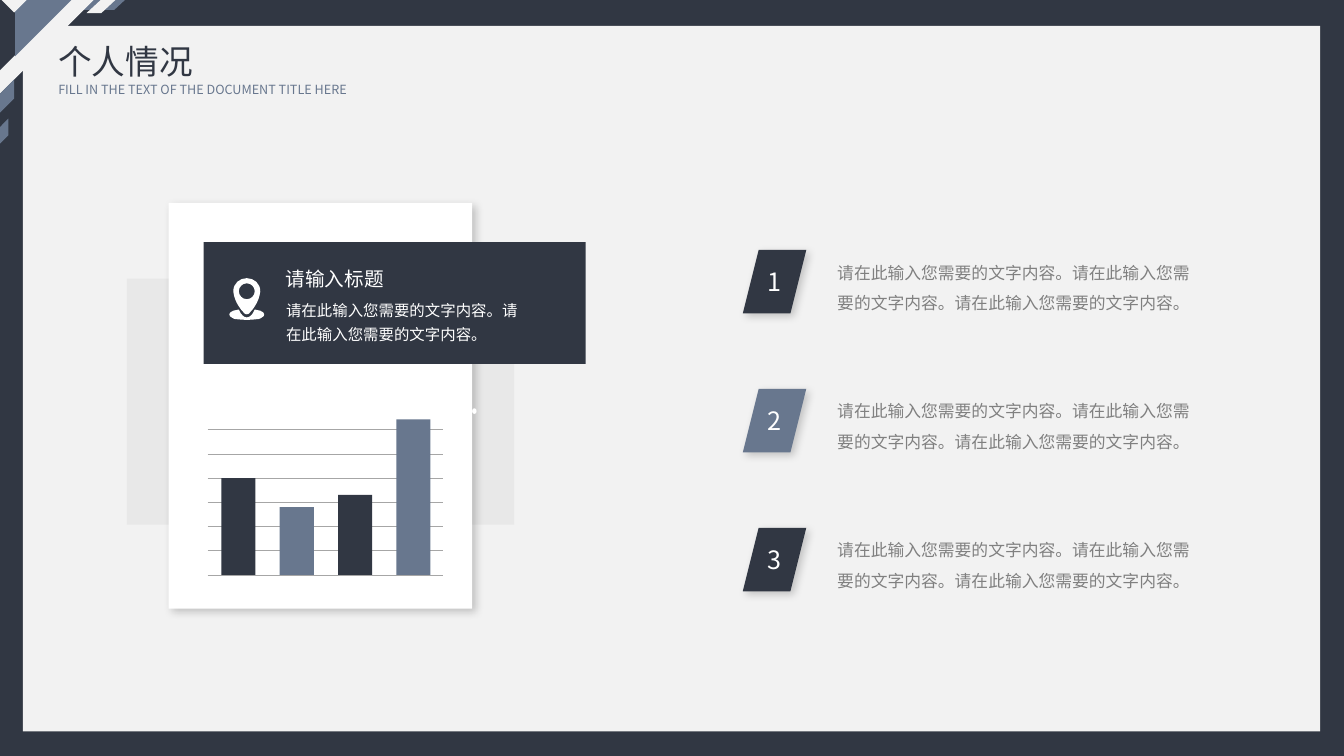
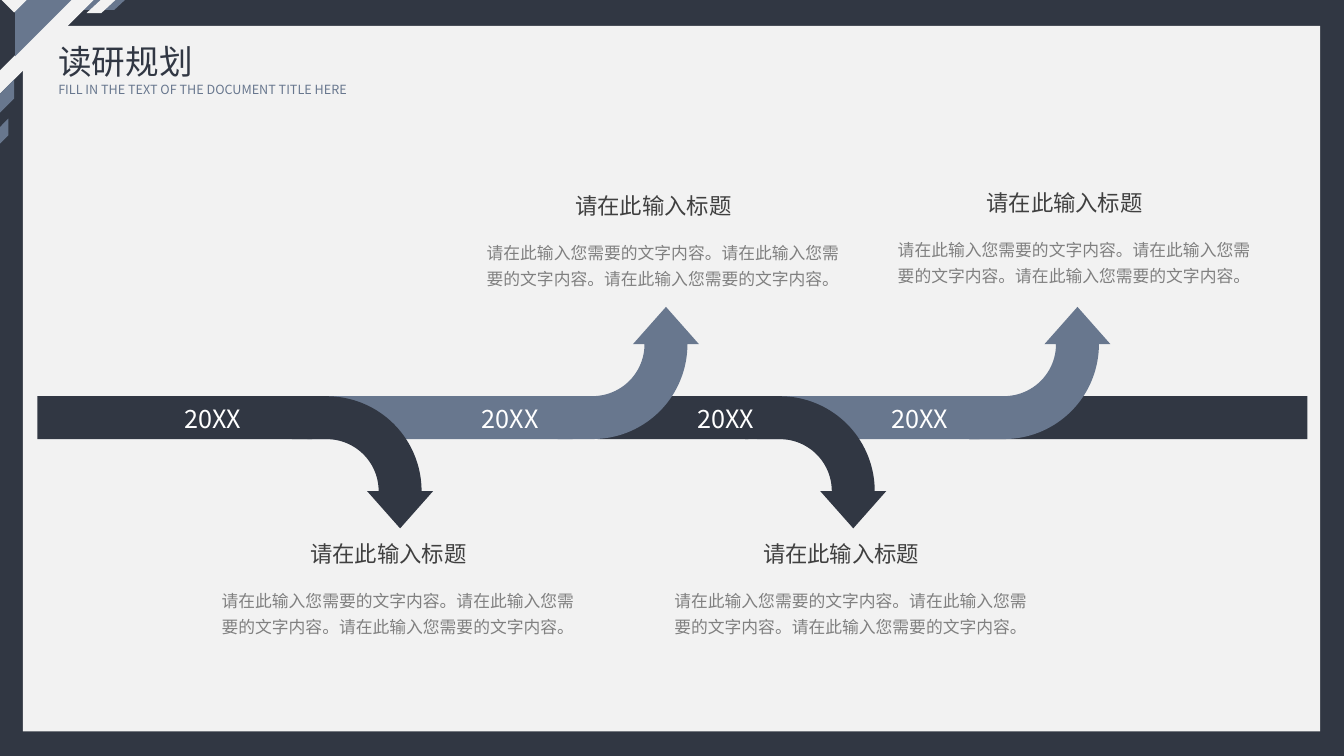
from lxml import etree

from pptx import Presentation
from pptx.dml.color import RGBColor
from pptx.enum.shapes import MSO_CONNECTOR as Connector
from pptx.enum.shapes import MSO_SHAPE as Preset
from pptx.enum.text import MSO_ANCHOR as Anchor
from pptx.enum.text import PP_ALIGN as Align
from pptx.oxml import parse_xml
from pptx.oxml.ns import nsdecls, qn
from pptx.util import Cm, Pt

FONT = "Noto Sans CJK SC"
COLOURS = {
    "navy": "313743",
    "slate": "68778E",
    "paper": "F2F2F2",
    "white": "FFFFFF",
    "shade": "D9D9D9",
    "grid": "A6A6A6",
    "heading": "404040",
    "body": "808080",
}
SENTENCE = "请在此输入您需要的文字内容。"

# Preset, left, top, width, height, rotation, colour, adjustments, flip
CORNER = [
    (Preset.PARALLELOGRAM, 1.5, -0.03, 1.68, 0.28, 180, "slate", [1.08], None),
    (Preset.RIGHT_TRIANGLE, 0, -0.03, 2.39, 2.39, 90, "paper", [], None),
    (Preset.RIGHT_TRIANGLE, 0, -0.03, 1.8, 1.8, 90, "navy", [], None),
    (Preset.RIGHT_TRIANGLE, 0.38, -0.03, 1.45, 1.45, 90, "slate", [], None),
    (Preset.RIGHT_TRIANGLE, 0.1, -0.3, 0.51, 0.51, 315, "paper", [], None),
    (Preset.PARALLELOGRAM, 2.18, -0.03, 0.76, 0.36, 180, "paper", [1.08], None),
    (Preset.PARALLELOGRAM, -0.24, 2.24, 0.84, 0.36, 90, "slate", [1.01], "flipH"),
    (Preset.PARALLELOGRAM, -0.22, 3.2, 0.64, 0.22, 90, "slate", [1.01], "flipH"),
]

# Right halves of the pin icon: a start, then Bézier curves as
# two control points and an end point, in cm from the top of the pin
PIN_HALF = (0, 0), [
    ((0.18, 0), (0.34, 0.13), (0.34, 0.33)),
    ((0.33, 0.46), (0.27, 0.61), (0.2, 0.71)),
    ((0.15, 0.79), (0.13, 0.81), (0.1, 0.84)),
    ((0.05, 0.91), (0.03, 0.91), (0, 0.91)),
]
HOLE_HALF = (0, 0.13), [
    ((0.11, 0.13), (0.2, 0.22), (0.2, 0.33)),
    ((0.2, 0.44), (0.11, 0.53), (0, 0.53)),
]
SAUCER_HALF = (0, 0.99), [
    ((0.05, 0.99), (0.08, 0.97), (0.15, 0.89)),
    ((0.17, 0.86), (0.18, 0.84), (0.2, 0.79)),
    ((0.25, 0.8), (0.29, 0.8), (0.34, 0.82)),
    ((0.4, 0.84), (0.44, 0.88), (0.44, 0.91)),
    ((0.44, 0.95), (0.42, 0.97), (0.38, 0.99)),
    ((0.35, 1.01), (0.32, 1.03), (0.3, 1.03)),
    ((0.2, 1.04), (0.1, 1.05), (0, 1.05)),
]


def rgb(colour):
    return RGBColor.from_string(COLOURS[colour])


def paint(shape, colour):
    """Give a shape a flat fill, no outline and no shadow."""
    shape.shadow.inherit = False
    shape.fill.solid()
    shape.fill.fore_color.rgb = rgb(colour)
    shape.line.fill.background()


def add_block(page, preset, left, top, width, height, colour,
              rotation=0, adjustments=(), flip=None):
    shape = page.shapes.add_shape(preset, Cm(left), Cm(top), Cm(width), Cm(height))
    paint(shape, colour)
    for index, value in enumerate(adjustments):
        shape.adjustments[index] = value
    shape.rotation = rotation
    if flip:
        shape._element.spPr.find(qn("a:xfrm")).set(flip, "1")
    return shape


def add_line(page, left, right, top):
    line = page.shapes.add_connector(
        Connector.STRAIGHT, Cm(left), Cm(top), Cm(right), Cm(top))
    line.line.color.rgb = rgb("grid")
    line.line.width = Pt(0.5)
    etree.SubElement(line._element.spPr, qn("a:effectLst"))


def set_opacity(shape, percent):
    colour = shape._element.spPr.find(qn("a:solidFill"))[0]
    etree.SubElement(colour, qn("a:alpha")).set("val", str(percent * 1000))


def drop_shadow(shape):
    effects = shape._element.spPr.find(qn("a:effectLst"))
    effects.append(parse_xml(
        f'<a:outerShdw {nsdecls("a")} blurRad="{Pt(6)}" dist="{Pt(3)}" '
        'dir="2700000" algn="tl" rotWithShape="0"><a:srgbClr val="000000">'
        '<a:alpha val="20000"/></a:srgbClr></a:outerShdw>'))


def write(frame, text, size, colour, align=Align.LEFT, spacing=None):
    frame.word_wrap = True
    para = frame.paragraphs[0]
    para.text = text
    para.alignment = align
    if spacing:
        para.line_spacing = spacing
    font = para.font
    font.size = Pt(size)
    font.color.rgb = rgb(colour)
    font.name = FONT
    etree.SubElement(font._rPr, qn("a:ea")).set("typeface", FONT)


def add_text(page, left, top, width, height, *args, **options):
    box = page.shapes.add_textbox(Cm(left), Cm(top), Cm(width), Cm(height))
    write(box.text_frame, *args, **options)


def mirror(start, curves):
    """Close a right half with its left half."""
    starts = [start] + [end for _, _, end in curves[:-1]]
    left_half = [
        tuple((-x, y) for x, y in (second, first, begin))
        for begin, (first, second, _) in zip(starts, curves)]
    return start, curves + left_half[::-1]


def add_outline(page, left, top, halves, colour):
    """Draw mirrored contours as one shape with curved edges."""
    def place(point):
        return Cm(left + point[0]), Cm(top + point[1])

    contours = [mirror(*half) for half in halves]
    builder = page.shapes.build_freeform(*place(contours[0][0]), scale=1.0)
    for index, (start, curves) in enumerate(contours):
        if index:
            builder.move_to(*place(start))
        builder.add_line_segments([place(end) for _, _, end in curves], close=True)
    shape = builder.convert_to_shape()
    paint(shape, colour)

    segments = list(shape._element.iter(qn("a:lnTo")))
    curves = [curve for _, group in contours for curve in group]
    for segment, controls in zip(segments, curves):
        segment.tag = qn("a:cubicBezTo")
        for index, control in enumerate(controls[:2]):
            x, y = place(control)
            point = etree.Element(qn("a:pt"), x=str(x - shape.left), y=str(y - shape.top))
            segment.insert(index, point)


def add_pin(page, left, top):
    add_outline(page, left, top, [SAUCER_HALF], "white")
    add_outline(page, left, top, [PIN_HALF, HOLE_HALF], "white")


def add_bars(page, left, base, heights):
    """Draw columns in alternating colours over seven rules."""
    for index in range(7):
        add_line(page, left, left + 5.93, base - 0.61 * index)
    for index, height in enumerate(heights):
        add_block(page, Preset.RECTANGLE, left + 0.35 + 1.47 * index, base - height,
                  0.86, height, ("navy", "slate")[index % 2])


def add_page(deck, title):
    """Add a page with the frame, the corner ornament and the title."""
    page = deck.slides.add_slide(deck.slide_layouts[6])
    add_block(page, Preset.RECTANGLE, 0.58, 0.65, 32.69, 17.78, "paper")
    for preset, left, top, width, height, rotation, colour, adjustments, flip in CORNER:
        add_block(page, preset, left, top, width, height, colour,
                  rotation, adjustments, flip)
    add_text(page, 1.22, 0.91, 6.45, 1.27, title, 24, "navy")
    add_text(page, 1.22, 1.93, 7.82, 0.64,
             "FILL IN THE TEXT OF THE DOCUMENT TITLE HERE", 9, "slate")
    return page


def add_numbered_point(page, number, top, colour):
    badge = add_block(page, Preset.PARALLELOGRAM, 18.72, top, 1.6, 1.6, colour)
    drop_shadow(badge)
    frame = badge.text_frame
    frame.margin_left = frame.margin_right = 0
    frame.vertical_anchor = Anchor.MIDDLE
    write(frame, str(number), 18, "white", align=Align.CENTER)
    add_text(page, 20.85, top - 0.07, 9.65, 1.8, SENTENCE * 3, 12, "body", spacing=1.5)


def build_profile(deck):
    page = add_page(deck, "个人情况")
    set_opacity(add_block(page, Preset.RECTANGLE, 3.2, 7.02, 9.76, 6.2, "shade"), 40)
    drop_shadow(add_block(page, Preset.RECTANGLE, 4.25, 5.11, 7.65, 10.23, "white"))
    add_block(page, Preset.RECTANGLE, 5.13, 6.1, 9.63, 3.07, "navy")
    add_text(page, 6.96, 7.32, 6.73, 1.47, SENTENCE * 2, 11, "white", spacing=1.3)
    add_text(page, 6.95, 6.6, 3.1, 0.86, "请输入标题", 14, "white")
    add_pin(page, 6.22, 7.01)
    add_block(page, Preset.OVAL, 11.9, 10.29, 0.11, 0.14, "white")
    add_bars(page, 5.23, 14.49, (2.44, 1.71, 2.02, 3.92))
    for index, colour in enumerate(("navy", "slate", "navy")):
        add_numbered_point(page, index + 1, 6.3 + 3.5 * index, colour)


def add_road(page, left, width, colour):
    add_block(page, Preset.RECTANGLE, left, 9.98, width, 1.09, colour)


def add_turn(page, left, upward):
    top, colour, rotation, flip = (
        (7.62, "slate", 270, "flipV") if upward else (9.87, "navy", 90, None))
    add_block(page, Preset.BENT_ARROW, left, top, 3.33, 3.56, colour,
              rotation, (0.325, 0.25, 0.282, 0.718), flip)


def add_caption(page, left, top):
    add_text(page, left, top, 4.9, 0.94, "请在此输入标题", 16, "heading")
    add_text(page, left - 2.25, top + 1.12, 9.42, 1.57, SENTENCE * 3, 12, "body",
             align=Align.CENTER, spacing=1.3)


def build_plan(deck):
    page = add_page(deck, "读研规划")
    add_road(page, 24.43, 8.52, "navy")
    add_road(page, 19.08, 5.61, "slate")
    add_turn(page, 18.89, upward=False)
    add_road(page, 15.06, 3.8, "navy")
    add_road(page, 7.75, 6.68, "slate")
    add_turn(page, 7.47, upward=False)
    add_turn(page, 14.17, upward=True)
    add_road(page, 0.94, 6.93, "navy")
    add_turn(page, 24.54, upward=True)
    for left in (4.4, 11.89, 17.32, 22.22):
        add_text(page, left, 10.03, 2.79, 1.02, "20XX", 18, "white")
    for left, top in ((7.57, 13.49), (18.98, 13.49), (24.61, 4.65), (14.25, 4.72)):
        add_caption(page, left, top)


def main():
    deck = Presentation()
    deck.slide_width, deck.slide_height = Cm(33.87), Cm(19.05)
    backdrop = deck.slide_master.background.fill
    backdrop.solid()
    backdrop.fore_color.rgb = rgb("navy")
    build_profile(deck)
    build_plan(deck)
    deck.save("out.pptx")


if __name__ == "__main__":
    main()
